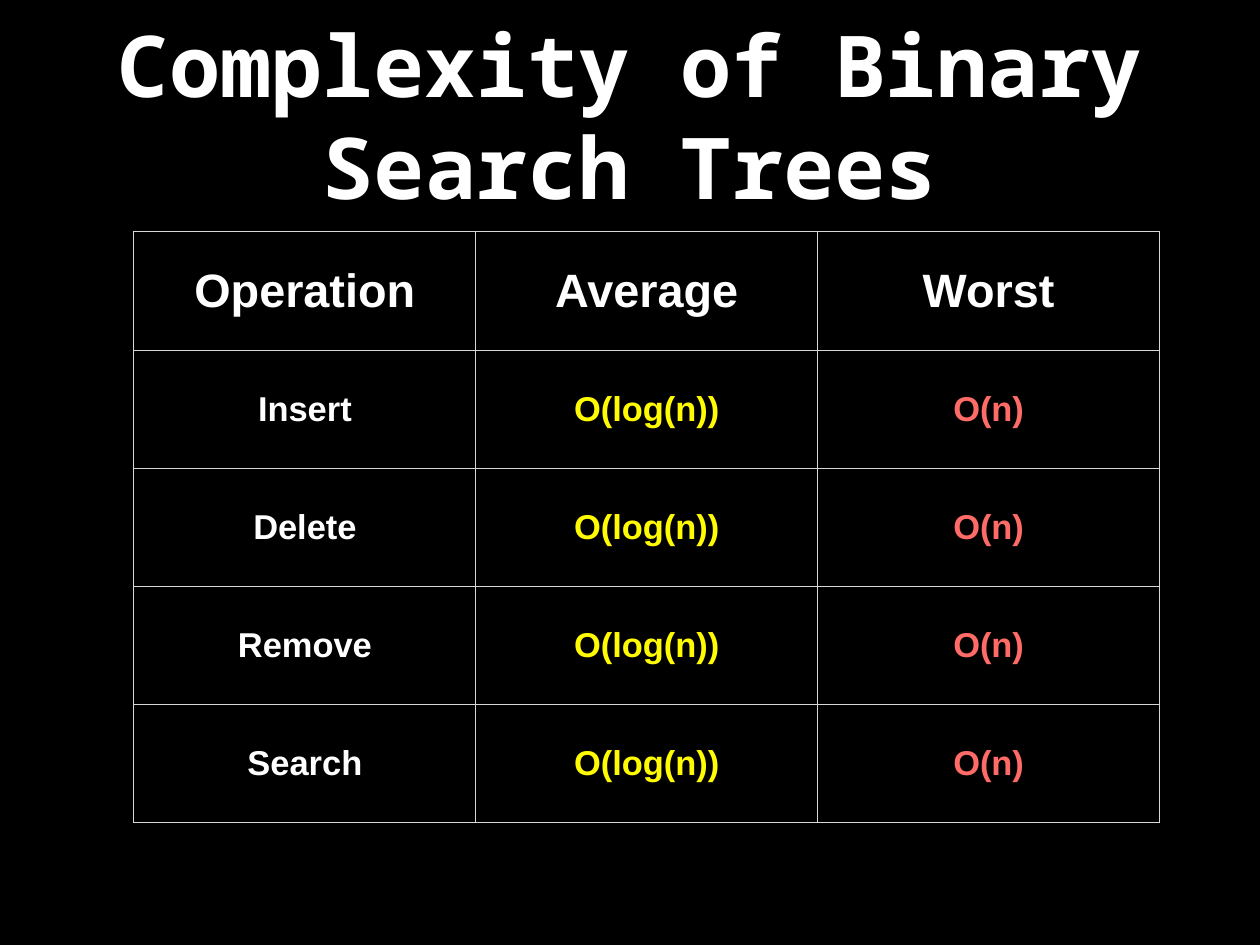
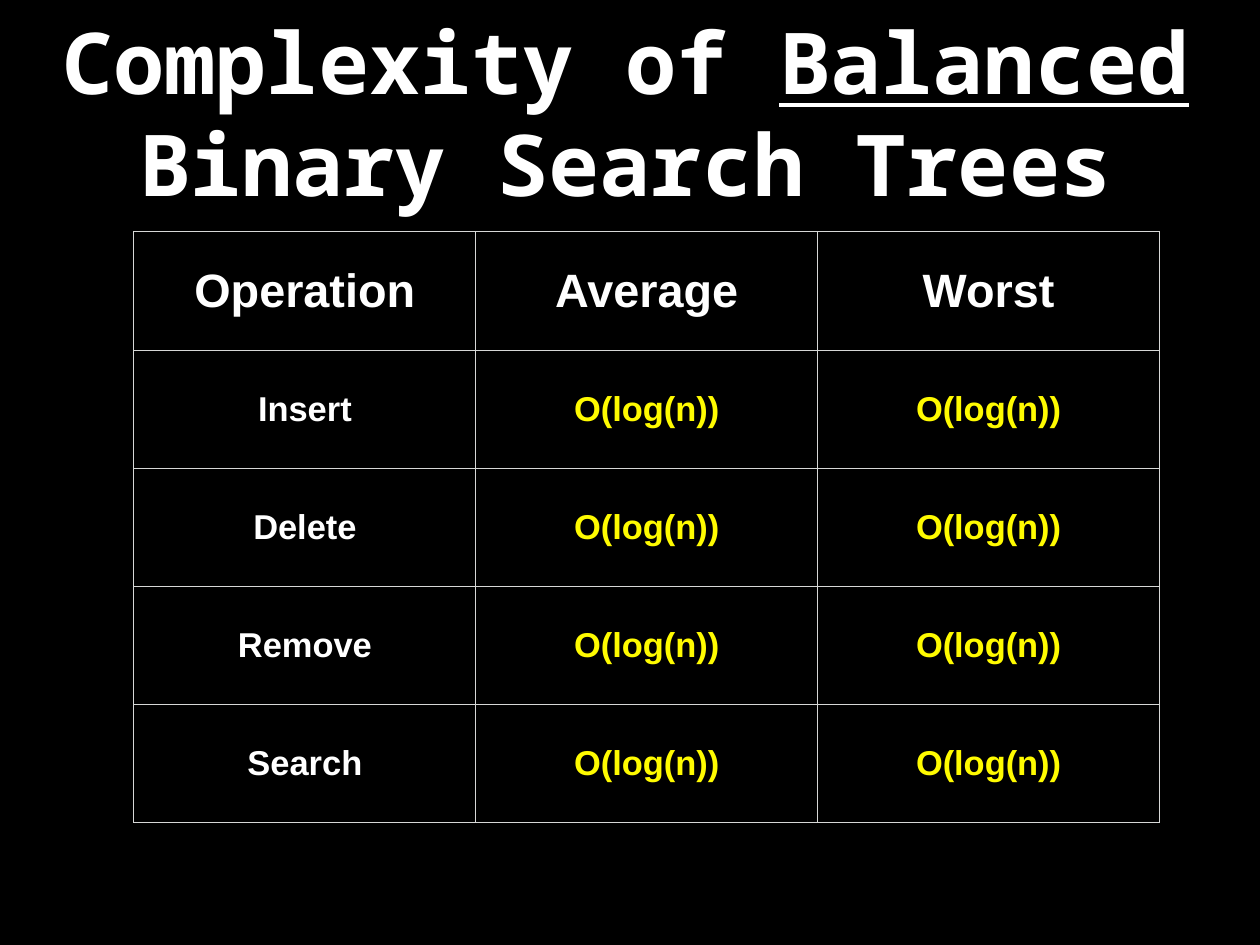
import pptx
import pptx.dml.color
import pptx.enum.text
import pptx.oxml
import pptx.oxml.ns
import pptx.util

Cm = pptx.util.Cm
Pt = pptx.util.Pt

BLACK = "000000"
WHITE = "FFFFFF"
YELLOW = "FFFB00"
RED = "FF6B66"
GRID = "D6D7D6"
TITLE_FONT = "Noto Sans Mono"
TABLE_FONT = "Arial"
INSET = Cm(0.15)

HEADINGS = ("Operation", "Average", "Worst")
OPERATIONS = ("Insert", "Delete", "Remove", "Search")
LOGARITHMIC = ("O(log(n))", YELLOW)
LINEAR = ("O(n)", RED)


def colour(hex_string):
    return pptx.dml.color.RGBColor.from_string(hex_string)


def add_run(paragraph, text, size, font_name, hex_string, underline=None):
    paragraph.alignment = pptx.enum.text.PP_ALIGN.CENTER
    run = paragraph.add_run()
    run.text = text
    font = run.font
    font.size = Pt(size)
    font.name = font_name
    font.bold = True
    font.underline = underline
    font.color.rgb = colour(hex_string)


def set_insets(target):
    target.margin_left = target.margin_right = INSET
    target.margin_top = target.margin_bottom = INSET
    target.vertical_anchor = pptx.enum.text.MSO_ANCHOR.MIDDLE


def fill_title(slide, box, runs):
    title = slide.shapes.title
    title.left, title.top, title.width, title.height = map(Cm, box)
    frame = title.text_frame
    frame.word_wrap = True
    frame.auto_size = pptx.enum.text.MSO_AUTO_SIZE.NONE
    set_insets(frame)
    for text, underline in runs:
        add_run(frame.paragraphs[0], text, 69.3, TITLE_FONT, WHITE, underline)


def add_borders(cell):
    properties = cell._tc.get_or_add_tcPr()
    for index, side in enumerate("LRTB"):
        border = pptx.oxml.parse_xml(
            f'<a:ln{side} {pptx.oxml.ns.nsdecls("a")} w="{Pt(1)}">'
            f'<a:solidFill><a:srgbClr val="{GRID}"/></a:solidFill>'
            f'</a:ln{side}>'
        )
        properties.insert(index, border)


def fill_cell(cell, text, size, hex_string):
    set_insets(cell)
    cell.fill.solid()
    cell.fill.fore_color.rgb = colour(BLACK)
    add_borders(cell)
    add_run(cell.text_frame.paragraphs[0], text, size, TABLE_FONT, hex_string)


def add_complexity_table(slide, average, worst):
    row_count, column_count = len(OPERATIONS) + 1, len(HEADINGS)
    row_height, column_width = Cm(3.39), Cm(9.8)
    table = slide.shapes.add_table(
        row_count, column_count, Cm(3.84), Cm(6.65),
        column_width * column_count, row_height * row_count,
    ).table
    for row in table.rows:
        row.height = row_height
    for column, heading in enumerate(HEADINGS):
        table.columns[column].width = column_width
        fill_cell(table.cell(0, column), heading, 38, WHITE)
    for row, operation in enumerate(OPERATIONS, start=1):
        for column, entry in enumerate(((operation, WHITE), average, worst)):
            fill_cell(table.cell(row, column), entry[0], 28, entry[1])


def add_complexity_slide(presentation, title_box, title_runs, worst):
    slide = presentation.slides.add_slide(
        presentation.slide_layouts.get_by_name("Title Only"))
    fill_title(slide, title_box, title_runs)
    add_complexity_table(slide, LOGARITHMIC, worst)


def main():
    presentation = pptx.Presentation()
    presentation.slide_width = Cm(36.12)
    presentation.slide_height = Cm(27.1)
    background = presentation.slide_master.background.fill
    background.solid()
    background.fore_color.rgb = colour(BLACK)

    add_complexity_slide(
        presentation, (2.64, 0.28, 30.84, 6),
        [("Complexity of Binary Search Trees", None)], LINEAR)
    add_complexity_slide(
        presentation, (-0.05, 0.2, 35.97, 6),
        [("Complexity of ", None), ("Balanced", True),
         (" Binary Search Trees", None)], LOGARITHMIC)
    presentation.save("out.pptx")


main()
